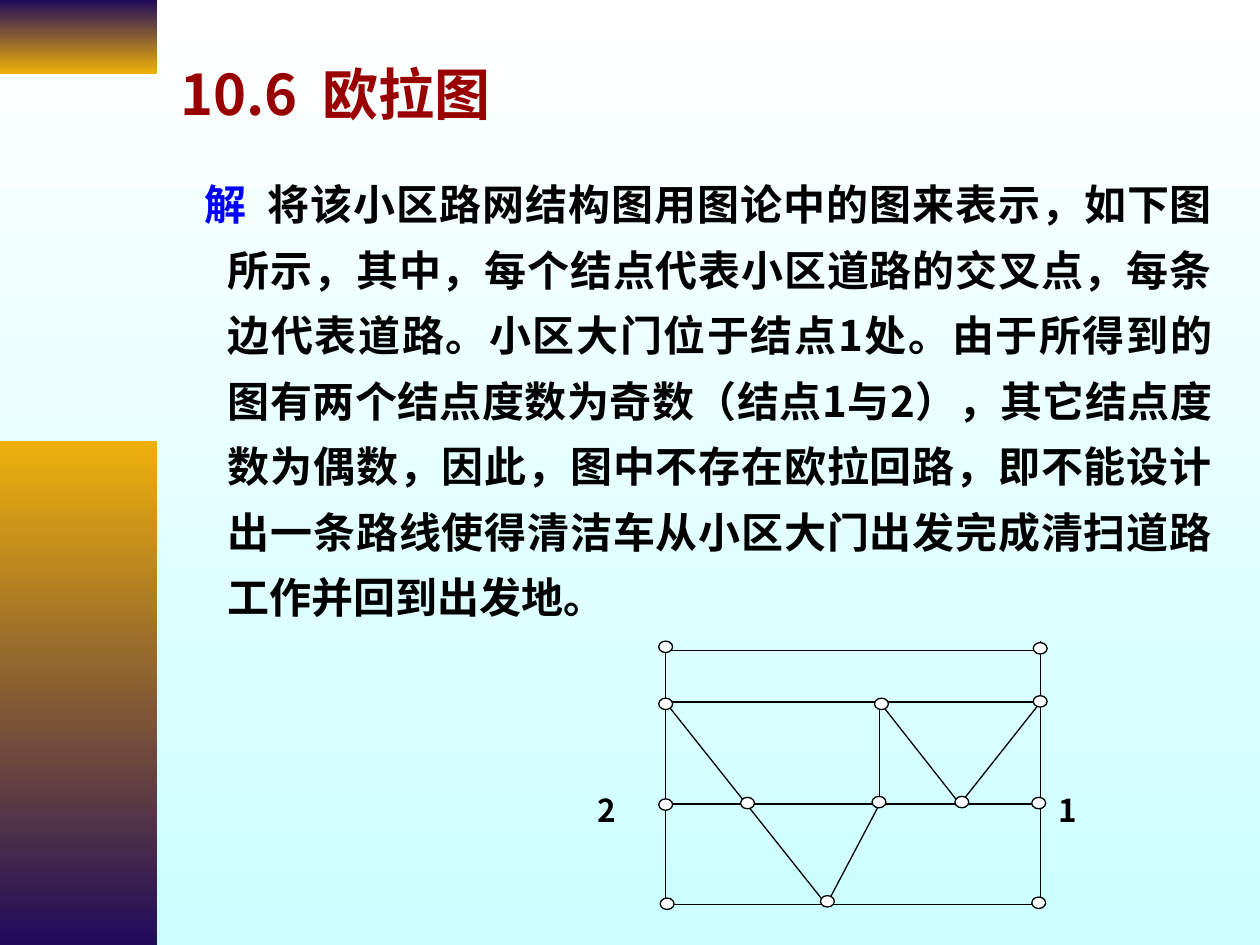
from typing import NamedTuple

from lxml import etree
from pptx import Presentation
from pptx.dml.color import RGBColor
from pptx.enum.shapes import MSO_CONNECTOR, MSO_SHAPE
from pptx.enum.text import MSO_ANCHOR, PP_ALIGN
from pptx.oxml.ns import qn
from pptx.util import Cm, Pt

FONT = "Noto Sans CJK SC"
BLACK, BLUE, RED, WHITE = "000000", "0000FF", "990000", "FFFFFF"
NAVY, GOLD, PALE = "200B5B", "EEB00B", "CCFFFF"
NODE_W, NODE_H = 0.28, 0.23

# Columns and rows of the road network, in cm
LEFT, APEX, MID, VALLEY, RIGHT = 13.41, 16.66, 17.73, 19.35, 20.98
TOP, UPPER, CENTRE, BOTTOM = 13.11, 14.15, 16.21, 18.24
POST_TOP = 12.93


class Run(NamedTuple):
    text: str
    color: str = BLACK
    spacing: float = 0


class Point(NamedTuple):
    x: float
    y: float


class Road(NamedTuple):
    start: Point
    end: Point


ROADS = [
    Road(Point(LEFT, TOP), Point(RIGHT, TOP)),
    Road(Point(LEFT, UPPER), Point(RIGHT, UPPER)),
    Road(Point(LEFT, CENTRE), Point(MID, CENTRE)),
    Road(Point(MID, CENTRE), Point(VALLEY, CENTRE)),
    Road(Point(VALLEY, CENTRE), Point(RIGHT, CENTRE)),
    Road(Point(LEFT, BOTTOM), Point(RIGHT, BOTTOM)),
    Road(Point(LEFT, POST_TOP), Point(LEFT, UPPER)),
    Road(Point(RIGHT, POST_TOP), Point(RIGHT, UPPER)),
    Road(Point(LEFT, UPPER), Point(LEFT, BOTTOM)),
    Road(Point(RIGHT, UPPER), Point(RIGHT, BOTTOM)),
    Road(Point(LEFT, UPPER), Point(APEX, BOTTOM)),
    Road(Point(MID, CENTRE), Point(APEX, BOTTOM)),
    Road(Point(MID, UPPER), Point(MID, CENTRE)),
    Road(Point(MID, UPPER), Point(VALLEY, CENTRE)),
    Road(Point(RIGHT, UPPER), Point(VALLEY, CENTRE)),
]
NODES = [
    Point(13.42, 13.04), Point(20.97, 13.07),
    Point(13.42, 14.19), Point(17.77, 14.19), Point(20.97, 14.14),
    Point(13.42, 16.22), Point(15.07, 16.19), Point(17.72, 16.17),
    Point(19.39, 16.17), Point(20.94, 16.19),
    Point(13.45, 18.22), Point(16.68, 18.17), Point(20.94, 18.2),
]
SOLUTION = (
    "将该小区路网结构图用图论中的图来表示，如下图所示，其中，每个结点代表小区道路的交叉点，"
    "每条边代表道路。小区大门位于结点1处。由于所得到的图有两个结点度数为奇数（结点1与2），"
    "其它结点度数为偶数，因此，图中不存在欧拉回路，即不能设计出一条路线使得清洁车从小区大门"
    "出发完成清扫道路工作并回到出发地。"
)


def rgb(color: str) -> RGBColor:
    return RGBColor.from_string(color)


def fill_down(fill, first: str, last: str) -> None:
    """Give a fill a gradient that runs from top to bottom."""
    fill.gradient()
    fill.gradient_angle = 270
    for stop, color, position in zip(fill.gradient_stops, (first, last), (0, 1)):
        stop.color.rgb = rgb(color)
        stop.position = position


def add_band(s, top: float, height: float, first: str, last: str) -> None:
    sp = s.shapes.add_shape(MSO_SHAPE.RECTANGLE, 0, Cm(top), Cm(3.17), Cm(height))
    sp.shadow.inherit = False
    sp.line.fill.background()
    fill_down(sp.fill, first, last)


def add_text(s, left: float, top: float, width: float, height: float, runs: list[Run], *,
             size: float, align=PP_ALIGN.LEFT, anchor=MSO_ANCHOR.TOP, wrap: bool = True,
             leading: float | None = None, margin: float = 0, indent: float = 0) -> None:
    tf = s.shapes.add_textbox(Cm(left), Cm(top), Cm(width), Cm(height)).text_frame
    tf.word_wrap = wrap
    tf.vertical_anchor = anchor
    p = tf.paragraphs[0]
    p.alignment = align
    if leading:
        p.line_spacing = Pt(leading)
    pPr = p._p.get_or_add_pPr()
    pPr.set("marL", str(Cm(margin)))
    pPr.set("indent", str(Cm(indent)))
    for run in runs:
        r = p.add_run()
        r.text = run.text
        r.font.name, r.font.size, r.font.bold = FONT, Pt(size), True
        r.font.color.rgb = rgb(run.color)
        rPr = r._r.get_or_add_rPr()
        if run.spacing:
            rPr.set("spc", str(round(run.spacing * 100)))
        rPr.find(qn("a:latin")).addnext(etree.Element(qn("a:ea"), typeface=FONT))


def add_road(s, road: Road) -> None:
    (x1, y1), (x2, y2) = road
    line = s.shapes.add_connector(MSO_CONNECTOR.STRAIGHT, Cm(x1), Cm(y1), Cm(x2), Cm(y2))
    line.line.color.rgb = rgb(BLACK)
    line.line.width = Pt(0.75)
    etree.SubElement(line._element.spPr, qn("a:effectLst"))


def add_node(s, centre: Point) -> None:
    sp = s.shapes.add_shape(MSO_SHAPE.OVAL, Cm(centre.x - NODE_W / 2),
                            Cm(centre.y - NODE_H / 2), Cm(NODE_W), Cm(NODE_H))
    sp.shadow.inherit = False
    sp.fill.solid()
    sp.fill.fore_color.rgb = rgb(WHITE)
    sp.line.color.rgb = rgb(BLACK)
    sp.line.width = Pt(0.75)


def main() -> None:
    prs = Presentation()
    prs.slide_width, prs.slide_height = Cm(25.4), Cm(19.05)
    s = prs.slides.add_slide(prs.slide_layouts[6])
    fill_down(s.background.fill, WHITE, PALE)
    add_band(s, 0, 1.48, NAVY, GOLD)
    add_band(s, 8.89, 10.16, GOLD, NAVY)

    add_text(s, 3.38, 0.84, 21.59, 2.08,
             [Run("10.6", RED), Run(" ", RED, 7.2), Run("欧拉图", RED)],
             size=32, anchor=MSO_ANCHOR.MIDDLE)
    add_text(s, 3.38, 3.18, 21.31, 14.93,
             [Run("解", BLUE), Run(" ", spacing=5.4), Run(SOLUTION)],
             size=24, align=PP_ALIGN.JUSTIFY, leading=37.4, margin=0.96, indent=-0.46)

    for road in ROADS:
        add_road(s, road)
    for node in NODES:
        add_node(s, node)
    for label, left in (("2", 11.79), ("1", 21.08)):
        add_text(s, left, 15.82, 0.86, 1.02, [Run(label)], size=18, wrap=False)
    prs.save("out.pptx")


if __name__ == "__main__":
    main()
